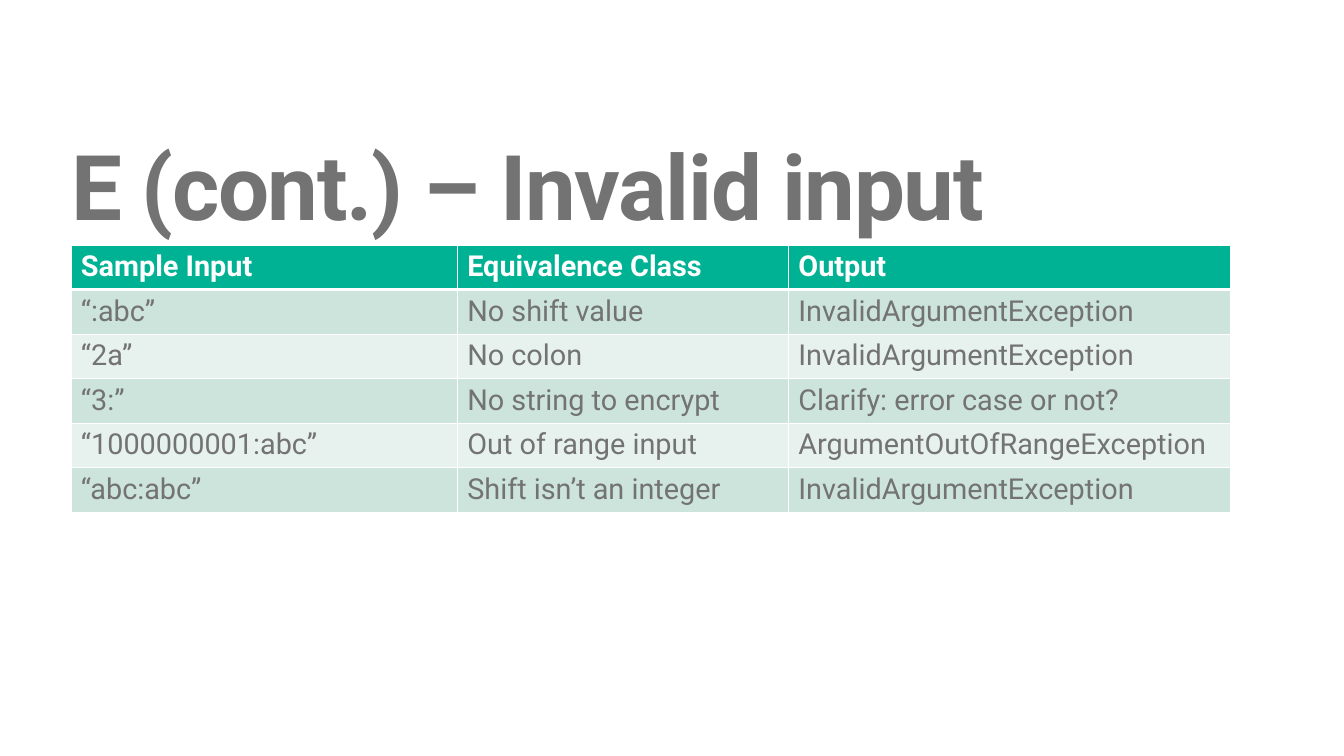
import pptx
import pptx.dml.color
import pptx.enum.text
import pptx.oxml
import pptx.oxml.ns
import pptx.util

Pt = pptx.util.Pt
RGBColor = pptx.dml.color.RGBColor

TITLE = "E (cont.) – Invalid input"
TABLE_ROWS = [
    ("Sample Input", "Equivalence Class", "Output"),
    ("“:abc”", "No shift value", "InvalidArgumentException"),
    ("“2a”", "No colon", "InvalidArgumentException"),
    ("“3:”", "No string to encrypt", "Clarify: error case or not?"),
    ("“1000000001:abc”", "Out of range input", "ArgumentOutOfRangeException"),
    ("“abc:abc”", "Shift isn’t an integer", "InvalidArgumentException"),
]

FONT = "Roboto"
WHITE = RGBColor(0xFF, 0xFF, 0xFF)
GRAY = RGBColor(0x73, 0x73, 0x73)
GREEN = RGBColor(0x00, 0xB2, 0x94)
BANDS = (RGBColor(0xE7, 0xF2, 0xEE), RGBColor(0xCC, 0xE4, 0xDC))

COLUMN_WIDTHS = (281.5, 241.2, 321.8)
ROW_HEIGHT = 32
TABLE_LEFT, TABLE_TOP = 51.8, 178.6


def add_run(paragraph, text, size, color, bold):
    run = paragraph.add_run()
    run.text = text
    run.font.name = FONT
    run.font.size = Pt(size)
    run.font.bold = bold
    run.font.color.rgb = color
    return run


def set_borders(cell, widths):
    properties = cell._tc.get_or_add_tcPr()
    for position, (side, width) in enumerate(widths.items()):
        border = pptx.oxml.parse_xml(
            f'<a:{side} {pptx.oxml.ns.nsdecls("a")} w="{Pt(width)}">'
            f'<a:solidFill><a:srgbClr val="{WHITE}"/></a:solidFill></a:{side}>'
        )
        properties.insert(position, border)


def add_title(slide):
    box = slide.shapes.add_textbox(Pt(40.3), Pt(93.6), Pt(846.7), Pt(91.4))
    frame = box.text_frame
    frame.word_wrap = True
    frame.vertical_anchor = pptx.enum.text.MSO_ANCHOR.MIDDLE
    frame.margin_left = frame.margin_right = Pt(11.5)
    frame.margin_top = frame.margin_bottom = Pt(5.76)
    paragraph = frame.paragraphs[0]
    paragraph.line_spacing = 0.9
    run = add_run(paragraph, TITLE, 66, GRAY, True)
    run._r.get_or_add_rPr().set("spc", "-100")


def add_input_table(slide):
    table = slide.shapes.add_table(
        len(TABLE_ROWS), len(COLUMN_WIDTHS), Pt(TABLE_LEFT), Pt(TABLE_TOP),
        Pt(sum(COLUMN_WIDTHS)), Pt(ROW_HEIGHT * len(TABLE_ROWS)),
    ).table
    for column, width in zip(table.columns, COLUMN_WIDTHS):
        column.width = Pt(width)
    for row_index, texts in enumerate(TABLE_ROWS):
        table.rows[row_index].height = Pt(ROW_HEIGHT)
        header = row_index == 0
        for column_index, text in enumerate(texts):
            cell = table.cell(row_index, column_index)
            cell.margin_left = cell.margin_right = Pt(7.2)
            cell.margin_top = cell.margin_bottom = Pt(3.6)
            cell.fill.solid()
            cell.fill.fore_color.rgb = GREEN if header else BANDS[row_index % 2]
            set_borders(cell, {
                "lnL": 1,
                "lnR": 1,
                "lnT": 3 if row_index == 1 else 1,
                "lnB": 3 if header else 1,
            })
            add_run(cell.text_frame.paragraphs[0], text, 21,
                    WHITE if header else GRAY, header)


def main():
    presentation = pptx.Presentation()
    presentation.slide_width = Pt(979.2)
    presentation.slide_height = Pt(550.8)
    slide = presentation.slides.add_slide(presentation.slide_layouts[6])
    slide.background.fill.solid()
    slide.background.fill.fore_color.rgb = WHITE
    add_title(slide)
    add_input_table(slide)
    presentation.save("out.pptx")


if __name__ == "__main__":
    main()
